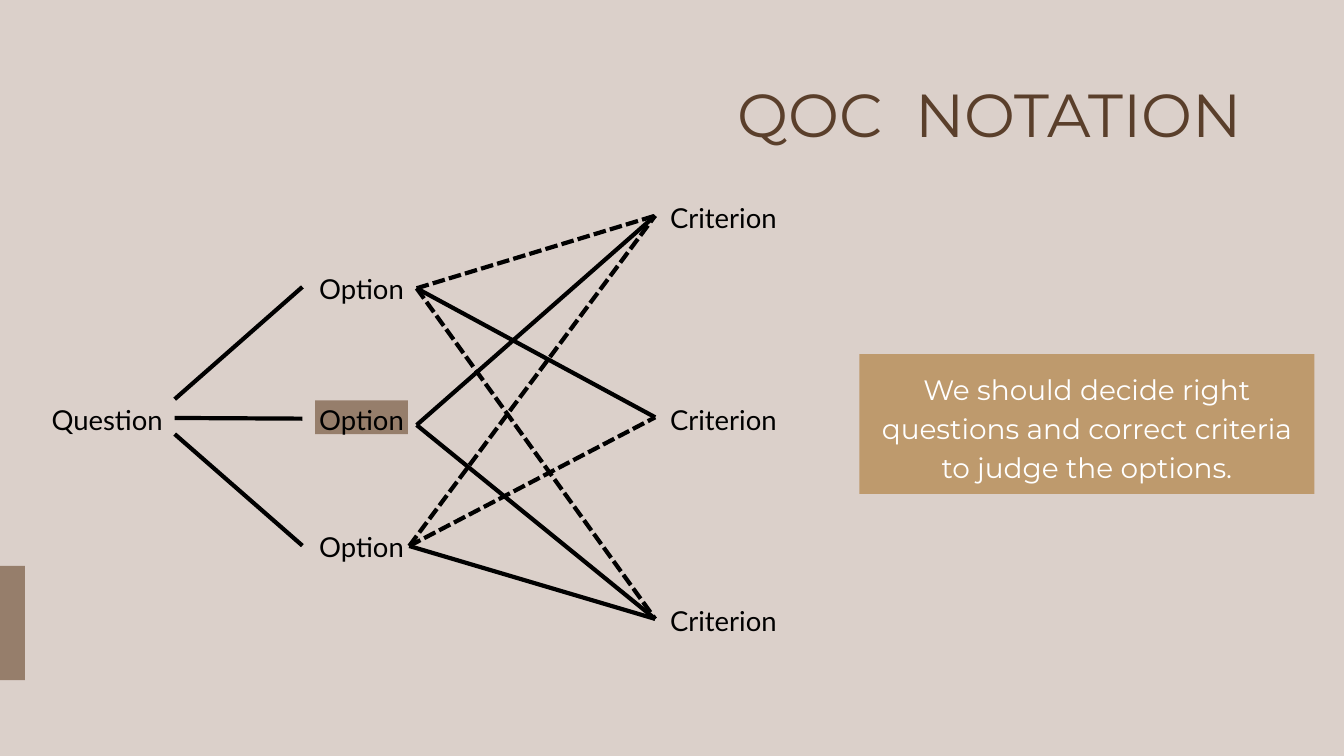
from dataclasses import dataclass

from lxml.etree import SubElement
from pptx import Presentation
from pptx.dml.color import RGBColor
from pptx.enum.dml import MSO_LINE_DASH_STYLE as Dash
from pptx.enum.shapes import MSO_CONNECTOR as Connector, MSO_SHAPE as Shape
from pptx.enum.text import PP_ALIGN as Align
from pptx.oxml.ns import qn
from pptx.util import Inches, Pt

COLS, ROWS = 80, 45
BACKGROUND, BROWN, GOLD = "DBD0CA", "967E6B", "BE9A6D"
TITLE_BROWN, BLACK, WHITE = "5A3F2B", "000000", "FFFFFF"
LABEL_HEIGHT = 2.2

prs = Presentation()
prs.slide_width, prs.slide_height = Inches(20), Inches(11.25)
s = prs.slides.add_slide(prs.slide_layouts[6])


@dataclass(frozen=True)
class Box:
    """An area in grid columns (x, w) and rows (y, h)."""
    x: float
    y: float
    w: float
    h: float


@dataclass(frozen=True)
class Style:
    font: str
    size: float
    leading: float
    color: str
    align: Align = Align.CENTER


@dataclass(frozen=True)
class Node:
    """A label with the point on its side where the links meet."""
    text: str
    box: Box
    port: tuple[float, float]


TITLE = Style("Montserrat", 65, 84.5, TITLE_BROWN, Align.LEFT)
NOTE = Style("Montserrat", 30, 42, WHITE)
LABEL = Style("Lato", 29.4, 41.2, BLACK)


def rgb(color: str) -> RGBColor:
    return RGBColor.from_string(color)


def col(n: float) -> int:
    return round(prs.slide_width * n / COLS)


def row(n: float) -> int:
    return round(prs.slide_height * n / ROWS)


def place(box: Box) -> tuple[int, int, int, int]:
    return col(box.x), row(box.y), col(box.w), row(box.h)


def add_block(box: Box, color: str) -> None:
    sp = s.shapes.add_shape(Shape.RECTANGLE, *place(box))
    sp.shadow.inherit = False
    sp.fill.solid()
    sp.fill.fore_color.rgb = rgb(color)
    sp.line.fill.background()


def add_text(box: Box, style: Style, *runs: tuple[str, int]) -> None:
    """Write runs given as (text, extra letter spacing in points)."""
    tf = s.shapes.add_textbox(*place(box)).text_frame
    tf.word_wrap = True
    tf.margin_left = tf.margin_right = tf.margin_top = tf.margin_bottom = 0
    p = tf.paragraphs[0]
    p.alignment, p.line_spacing = style.align, Pt(style.leading)
    for text, spacing in runs:
        r = p.add_run()
        r.text = text
        r.font.name, r.font.size = style.font, Pt(style.size)
        r.font.color.rgb = rgb(style.color)
        if spacing:
            r.font._element.set("spc", str(spacing * 100))


def add_link(start: tuple[float, float], end: tuple[float, float], dashed: bool = False) -> None:
    line = s.shapes.add_connector(Connector.STRAIGHT, col(start[0]), row(start[1]),
                                  col(end[0]), row(end[1]))
    line.line.color.rgb, line.line.width = rgb(BLACK), Pt(4.5)
    if dashed:
        line.line.dash_style = Dash.SQUARE_DOT
    SubElement(line._element.spPr, qn("a:effectLst"))


question = Node("Question", Box(2.76, 23.64, 7.24, LABEL_HEIGHT), (10.4, 24.88))
options = [Node("Option", Box(18.76, y, 5.52, LABEL_HEIGHT), port)
           for y, port in ((15.88, (24.8, 17.16)), (23.64, (24.8, 25.3)), (31.24, (24.36, 32.5)))]
criteria = [Node("Criterion", Box(39.48, 11.64 + 12 * i, 7.16, LABEL_HEIGHT), (39, 12.84 + 12 * i))
            for i in range(3)]
# Question side: rows where each link starts and ends
question_links = ((23.76, 17.08), (24.88, 24.92), (25.84, 32.48))
# Option and criterion indexes
supports = ((0, 1), (1, 2), (1, 0), (2, 2))
objections = ((0, 0), (0, 2), (2, 1), (2, 0))

s.background.fill.solid()
s.background.fill.fore_color.rgb = rgb(BACKGROUND)
add_block(Box(0, 33.68, 1.48, 6.8), BROWN)
add_text(Box(43.92, 4.2, 31.6, 4.6), TITLE, ("QOC", 0), (" ", 17), ("NOTATION", 0))
add_block(Box(51.16, 21.08, 27.08, 8.32), GOLD)
add_text(Box(51.64, 21.84, 26.12, 6.68), NOTE,
         ("We should decide right questions and correct criteria to judge the options.", 0))

add_block(Box(18.76, 23.84, 5.52, 2), BROWN)
for node in (question, *options, *criteria):
    add_text(node.box, LABEL, (node.text, 0))
for start_row, end_row in question_links:
    add_link((question.port[0], start_row), (18, end_row))
for pairs, dashed in ((supports, False), (objections, True)):
    for option, criterion in pairs:
        add_link(options[option].port, criteria[criterion].port, dashed)

prs.save("out.pptx")
